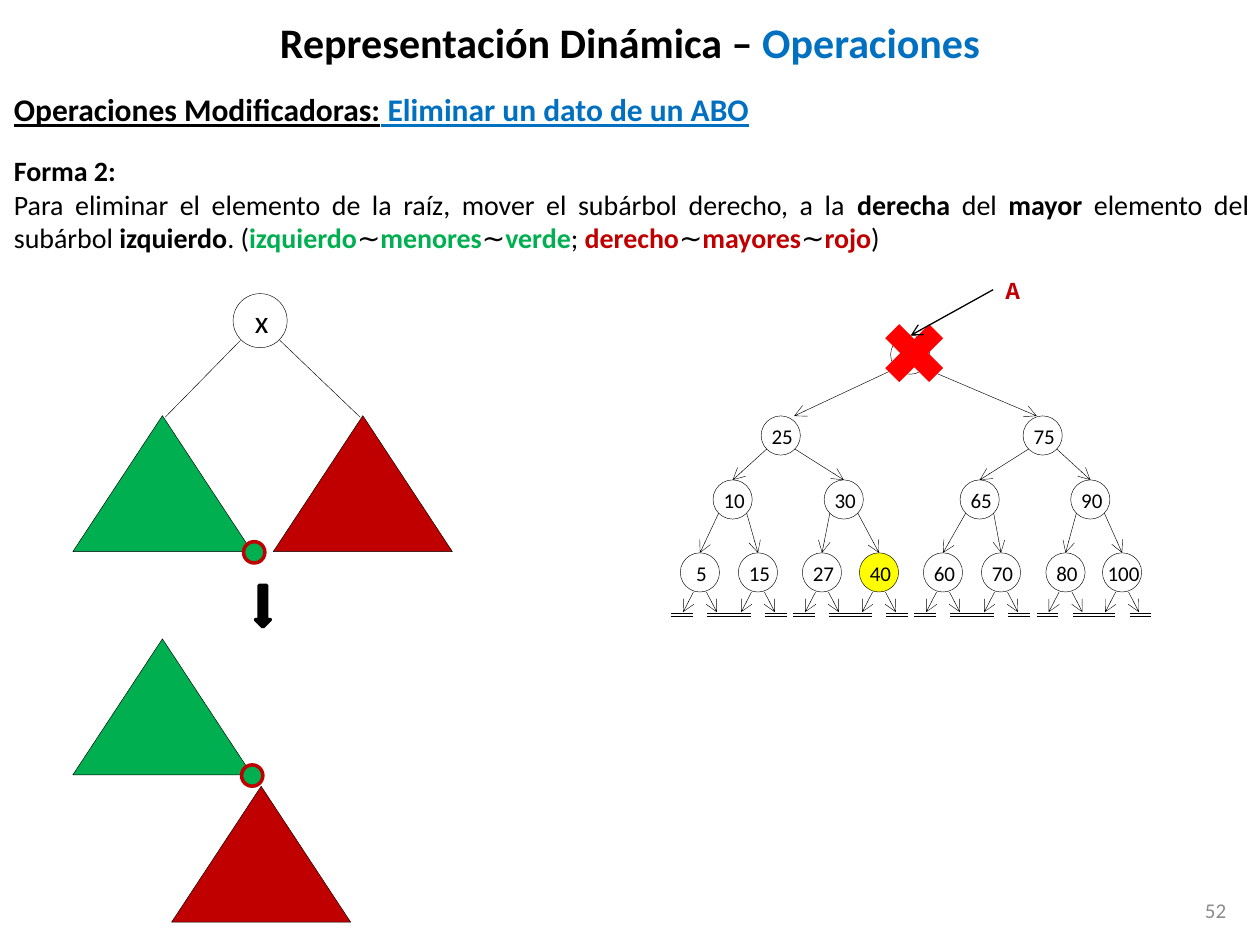
"""Build the slide on deleting an element from an ordered binary tree."""
from typing import NamedTuple, Optional

from pptx import Presentation
from pptx.dml.color import RGBColor
from pptx.enum.shapes import MSO_CONNECTOR, MSO_SHAPE
from pptx.enum.text import MSO_ANCHOR, PP_ALIGN
from pptx.oxml.ns import qn
from pptx.util import Cm, Pt

LINE = MSO_CONNECTOR.STRAIGHT
ELLIPSE, TRIANGLE = MSO_SHAPE.OVAL, MSO_SHAPE.ISOSCELES_TRIANGLE
CROSS, ARROW = MSO_SHAPE.MATH_MULTIPLY, MSO_SHAPE.RIGHT_ARROW
LEFT, CENTER, RIGHT, JUSTIFY = PP_ALIGN.LEFT, PP_ALIGN.CENTER, PP_ALIGN.RIGHT, PP_ALIGN.JUSTIFY
TOP, MIDDLE = MSO_ANCHOR.TOP, MSO_ANCHOR.MIDDLE

COLORS = {
    "black": "000000", "blue": "0070C0", "green": "00B050", "dark_red": "C00000",
    "red": "FF0000", "yellow": "FFFF00", "gray": "8C8C8C",
}
THIN = 0.25
NODE_SIZE = 0.79
NODE_RADIUS = NODE_SIZE / 2
TRIANGLE_SIZE = (3.61, 2.74)
DOT_SIZE = 0.43


class TextRun(NamedTuple):
    text: str
    color: str = "black"
    bold: bool = False
    underline: bool = False


class Box(NamedTuple):
    left: float
    top: float
    width: float
    height: float

    def lengths(self) -> list:
        return [Cm(value) for value in self]


class Node(NamedTuple):
    label: str
    x: float
    y: float
    parent: str = ""
    side: int = 0
    end_shift: float = 0
    is_leaf: bool = False
    fill: Optional[str] = None


class Subtree(NamedTuple):
    left: float
    top: float
    color: str


LEVELS = (7.15, 8.78, 10.07, 11.54)
NODES = [
    Node("50", 18.35, LEVELS[0]),
    Node("25", 15.74, LEVELS[1], "50", -1, 0.27),
    Node("75", 21.02, LEVELS[1], "50", 1, -0.12),
    Node("10", 14.77, LEVELS[2], "25", -1),
    Node("30", 17.01, LEVELS[2], "25", 1),
    Node("65", 19.75, LEVELS[2], "75", -1),
    Node("90", 21.98, LEVELS[2], "75", 1),
    Node("5", 14.11, LEVELS[3], "10", -1, is_leaf=True),
    Node("15", 15.28, LEVELS[3], "10", 1, is_leaf=True),
    Node("27", 16.57, LEVELS[3], "30", -1, is_leaf=True),
    Node("40", 17.72, LEVELS[3], "30", 1, is_leaf=True, fill="yellow"),
    Node("60", 19.01, LEVELS[3], "65", -1, is_leaf=True),
    Node("70", 20.18, LEVELS[3], "65", 1, is_leaf=True),
    Node("80", 21.48, LEVELS[3], "90", -1, is_leaf=True),
    Node("100", 22.62, LEVELS[3], "90", 1, is_leaf=True),
]
SUBTREES = [
    Subtree(5.51, 8.38, "dark_red"), Subtree(1.47, 8.38, "green"),
    Subtree(3.46, 15.85, "dark_red"), Subtree(1.47, 12.88, "green"),
]
DOTS = [(4.91, 10.92), (4.87, 15.42)]

TITLE = [TextRun("Representación Dinámica –", bold=True), TextRun(" Operaciones", "blue", True)]
SUBTITLE = [
    TextRun("Operaciones Modificadoras:", bold=True, underline=True),
    TextRun(" Eliminar un dato de un ABO", "blue", True, True),
]
EXPLANATION = [
    TextRun("Para eliminar el elemento de la raíz, mover el subárbol derecho, a la "),
    TextRun("derecha", bold=True), TextRun(" del "), TextRun("mayor", bold=True),
    TextRun(" elemento del subárbol "), TextRun("izquierdo", bold=True), TextRun(". ("),
    TextRun("izquierdo", "green", True), TextRun("∼"), TextRun("menores", "green", True),
    TextRun("∼"), TextRun("verde", "green", True), TextRun("; "),
    TextRun("derecho", "dark_red", True), TextRun("∼"), TextRun("mayores", "dark_red", True),
    TextRun("∼"), TextRun("rojo", "dark_red", True), TextRun(")"),
]


def rgb(color: str) -> RGBColor:
    return RGBColor.from_string(COLORS[color])


def write_runs(paragraph, runs: list, size: float, align, font: str = "Calibri") -> None:
    paragraph.alignment = align
    for item in runs:
        run = paragraph.add_run()
        run.text = item.text
        run.font.name, run.font.size = font, Pt(size)
        run.font.bold, run.font.underline = item.bold, item.underline
        run.font.color.rgb = rgb(item.color)


def add_text(slide, box: Box, paragraphs: list, size: float, align=CENTER,
             font: str = "Calibri", wrap: bool = False, anchor=TOP) -> None:
    text_frame = slide.shapes.add_textbox(*box.lengths()).text_frame
    text_frame.word_wrap = wrap
    text_frame.vertical_anchor = anchor
    for index, runs in enumerate(paragraphs):
        paragraph = text_frame.add_paragraph() if index else text_frame.paragraphs[0]
        write_runs(paragraph, runs, size, align, font)


def add_figure(slide, kind, box: Box, fill: Optional[str] = None,
               line: Optional[str] = "black", width: float = THIN):
    shape = slide.shapes.add_shape(kind, *box.lengths())
    shape.shadow.inherit = False
    if fill:
        shape.fill.solid()
        shape.fill.fore_color.rgb = rgb(fill)
    else:
        shape.fill.background()
    if line:
        shape.line.color.rgb = rgb(line)
        shape.line.width = Pt(width)
    else:
        shape.line.fill.background()
    return shape


def add_line(slide, start: tuple, end: tuple, arrow: bool = False, width: float = THIN):
    connector = slide.shapes.add_connector(LINE, *(Cm(value) for value in start + end))
    connector.line.color.rgb = rgb("black")
    connector.line.width = Pt(width)
    properties = connector._element.spPr
    if arrow:
        outline = properties.find(qn("a:ln"))
        outline.append(outline.makeelement(qn("a:tailEnd"), {"type": "arrow"}))
    properties.append(properties.makeelement(qn("a:effectLst"), {}))
    return connector


def add_null_links(slide, node: Node) -> None:
    for side in (-1, 1):
        add_line(slide, (node.x + side * 0.13, node.y + NODE_RADIUS),
                 (node.x + side * 0.34, node.y + 0.8), arrow=True)
        for drop in (0.83, 0.88):
            add_line(slide, (node.x + side * 0.15, node.y + drop),
                     (node.x + side * 0.58, node.y + drop))


def add_node(slide, node: Node, nodes: dict) -> None:
    circle = add_figure(slide, ELLIPSE, Box(node.x - NODE_RADIUS, node.y - NODE_RADIUS,
                                            NODE_SIZE, NODE_SIZE), node.fill)
    label_width = 0.5 + 0.22 * len(node.label)
    add_text(slide, Box(node.x + 0.03 - label_width / 2, node.y - 0.36, label_width, 0.76),
             [[TextRun(node.label)]], 12)
    if node.parent:
        parent = nodes[node.parent]
        edge = add_line(slide, (parent.x + node.side * 0.28, parent.y + 0.27),
                        (node.x + node.end_shift, node.y - NODE_RADIUS), arrow=True)
        if not node.end_shift:
            edge.end_connect(circle, 0)
    if node.is_leaf:
        add_null_links(slide, node)


def add_search_tree(slide) -> None:
    nodes = {node.label: node for node in NODES}
    for node in NODES:
        add_node(slide, node, nodes)
    add_figure(slide, CROSS, Box(17.58, 6.27, 1.7, 1.7), "red", None)
    add_text(slide, Box(20.02, 5.41, 0.81, 0.86), [[TextRun("A", "dark_red", True)]],
             14, LEFT, "Courier New")
    add_line(slide, (20.02, 5.84), (18.36, 6.76), arrow=True, width=0.75)


def add_deletion_scheme(slide) -> None:
    add_text(slide, Box(4.88, 5.97, 0.79, 1.02), [[TextRun("x")]], 18)
    add_figure(slide, ELLIPSE, Box(4.7, 5.92, 1.09, 1.09))
    add_line(slide, (4.85, 6.86), (3.33, 8.41))
    add_line(slide, (7.26, 8.41), (5.64, 6.86))
    for subtree in SUBTREES:
        add_figure(slide, TRIANGLE, Box(subtree.left, subtree.top, *TRIANGLE_SIZE), subtree.color)
    for left, top in DOTS:
        add_figure(slide, ELLIPSE, Box(left, top, DOT_SIZE, DOT_SIZE), "green", "dark_red", 2)
    add_figure(slide, ARROW, Box(4.88, 12.07, 0.84, 0.3), "black", width=2).rotation = 90


def main() -> None:
    presentation = Presentation()
    presentation.slide_width, presentation.slide_height = Cm(25.4), Cm(19.05)
    slide = presentation.slides.add_slide(presentation.slide_layouts[5])
    title = slide.shapes.title
    title.left, title.top, title.width, title.height = Box(0, 0, 25.4, 1.7).lengths()
    title.text_frame.vertical_anchor = MIDDLE
    write_runs(title.text_frame.paragraphs[0], TITLE, 24, CENTER)
    add_text(slide, Box(0.03, 1.7, 25.37, 1.02), [SUBTITLE], 18, JUSTIFY, wrap=True)
    add_text(slide, Box(0.03, 2.97, 25.4, 2.31), [[TextRun("Forma 2:", bold=True)], EXPLANATION],
             16, JUSTIFY, wrap=True)
    add_search_tree(slide)
    add_deletion_scheme(slide)
    add_text(slide, Box(23.7, 17.83, 1.27, 1.02), [[TextRun("52", "gray")]], 12, RIGHT,
             wrap=True, anchor=MIDDLE)
    presentation.save("out.pptx")


if __name__ == "__main__":
    main()
